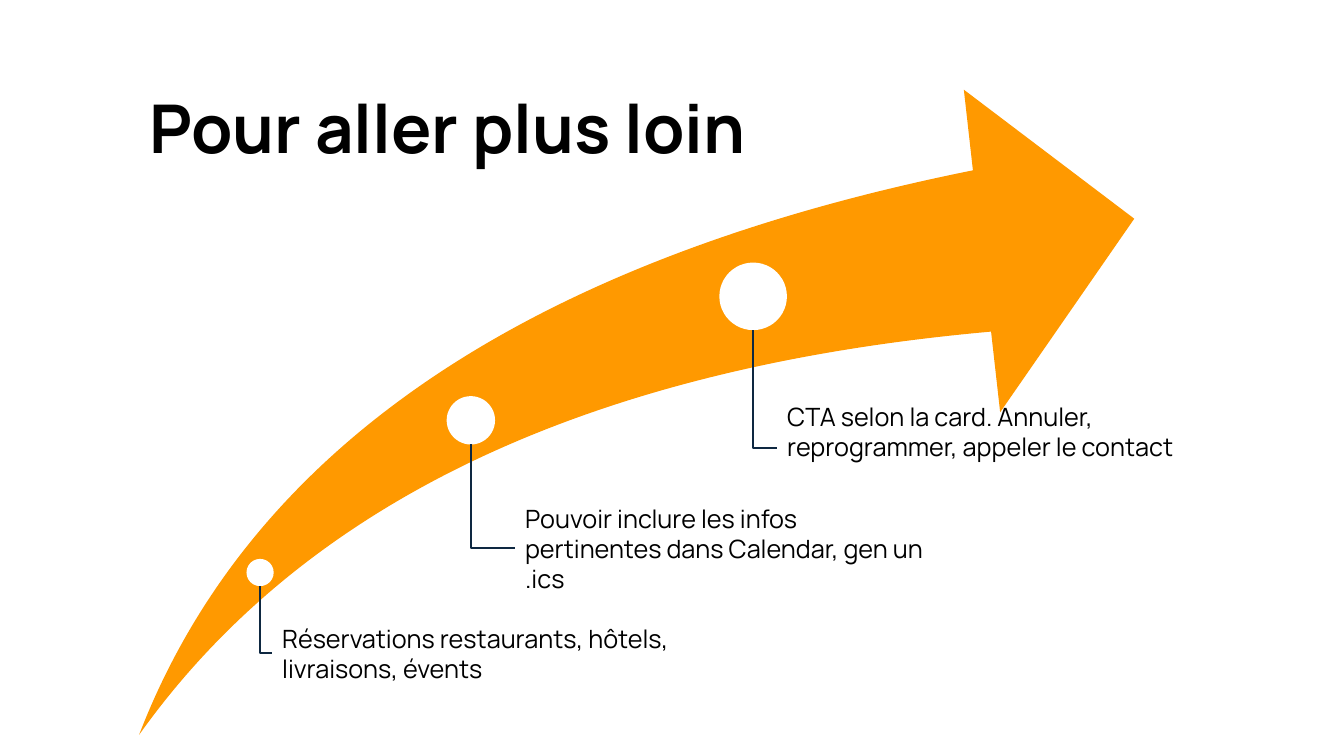
from lxml import etree
from pptx import Presentation
from pptx import util as u
from pptx.dml.color import RGBColor
from pptx.enum import shapes, text
from pptx.oxml import ns

ORANGE = RGBColor(0xFF, 0x99, 0x00)
WHITE = RGBColor(0xFF, 0xFF, 0xFF)
BLACK = RGBColor(0x00, 0x00, 0x00)
NAVY = RGBColor(0x0E, 0x28, 0x41)

# Circle centre x and y, diameter; label left, top, width, height; leader end y; wording
MILESTONES = [
    (2.58, 5.68, 0.27, 2.70, 6.08, 5.01, 0.81, 6.48,
     "Réservations restaurants, hôtels, livraisons, évents"),
    (4.67, 4.17, 0.48, 5.11, 4.89, 4.16, 1.11, 5.44,
     "Pouvoir inclure les infos pertinentes dans Calendar, gen un .ics"),
    (7.47, 2.94, 0.67, 7.71, 3.88, 4.24, 1.11, 4.44,
     "CTA selon la card. Annuler, reprogrammer, appeler le contact"),
]


class SlideBuilder:
    def __init__(self, slide, font):
        self.slide = slide
        self.font = font

    def shape(self, kind, left, top, width, height, color):
        shape = self.slide.shapes.add_shape(
            kind, u.Inches(left), u.Inches(top), u.Inches(width), u.Inches(height))
        shape.shadow.inherit = False
        shape.fill.solid()
        shape.fill.fore_color.rgb = color
        shape.line.fill.background()
        return shape

    def text(self, wording, left, top, width, height, size, inset=0.1, bold=False,
             anchor=text.MSO_ANCHOR.TOP, spacing=1.0):
        box = self.slide.shapes.add_textbox(
            u.Inches(left), u.Inches(top), u.Inches(width), u.Inches(height))
        frame = box.text_frame
        frame.text = wording
        frame.word_wrap = True
        frame.auto_size = text.MSO_AUTO_SIZE.SHAPE_TO_FIT_TEXT
        frame.vertical_anchor = anchor
        frame.margin_left = frame.margin_right = u.Inches(0.1)
        frame.margin_top = frame.margin_bottom = u.Inches(inset)
        paragraph = frame.paragraphs[0]
        paragraph.line_spacing = spacing
        font = paragraph.runs[0].font
        font.name = self.font
        font.size = u.Pt(size)
        font.bold = bold
        font.color.rgb = BLACK

    def leader(self, x1, y1, x2, y2):
        """Draw a one-bend connector that goes down, then right."""
        run, drop = x2 - x1, y2 - y1
        center_x, center_y = (x1 + x2) / 2, (y1 + y2) / 2
        # The frame is mirrored, then turned 270 degrees, so its sides are swapped.
        connector = self.slide.shapes.add_connector(
            shapes.MSO_CONNECTOR.ELBOW,
            u.Inches(center_x + drop / 2), u.Inches(center_y - run / 2),
            u.Inches(center_x - drop / 2), u.Inches(center_y + run / 2))
        connector.line.color.rgb = NAVY
        connector.line.width = u.Pt(1.5)
        properties = connector._element.spPr
        properties.find(ns.qn("a:xfrm")).set("rot", str(270 * 60000))
        properties.find(ns.qn("a:prstGeom")).set("prst", "bentConnector2")
        etree.SubElement(properties, ns.qn("a:effectLst"))


def main():
    presentation = Presentation()
    presentation.slide_width = u.Inches(13.33)
    presentation.slide_height = u.Inches(7.5)
    slide = presentation.slides.add_slide(presentation.slide_layouts[6])
    builder = SlideBuilder(slide, "Manrope")

    arrow = builder.shape(shapes.MSO_SHAPE.SWOOSH_ARROW, 1.38, 0.89, 9.87, 6.4, ORANGE)
    arrow.adjustments[0] = 0.25
    arrow.adjustments[1] = 0.25

    builder.text("Pour aller plus loin", 1.38, 0.89, 11.96, 0.83, 48, inset=0.05,
                 bold=True, anchor=text.MSO_ANCHOR.MIDDLE, spacing=0.9)

    for x, y, diameter, left, top, width, height, end_y, wording in MILESTONES:
        radius = diameter / 2
        builder.shape(shapes.MSO_SHAPE.OVAL, x - radius, y - radius,
                      diameter, diameter, WHITE)
        builder.text(wording, left, top, width, height, 18)
        builder.leader(x, y + radius, left, end_y)

    presentation.save("out.pptx")


if __name__ == "__main__":
    main()
